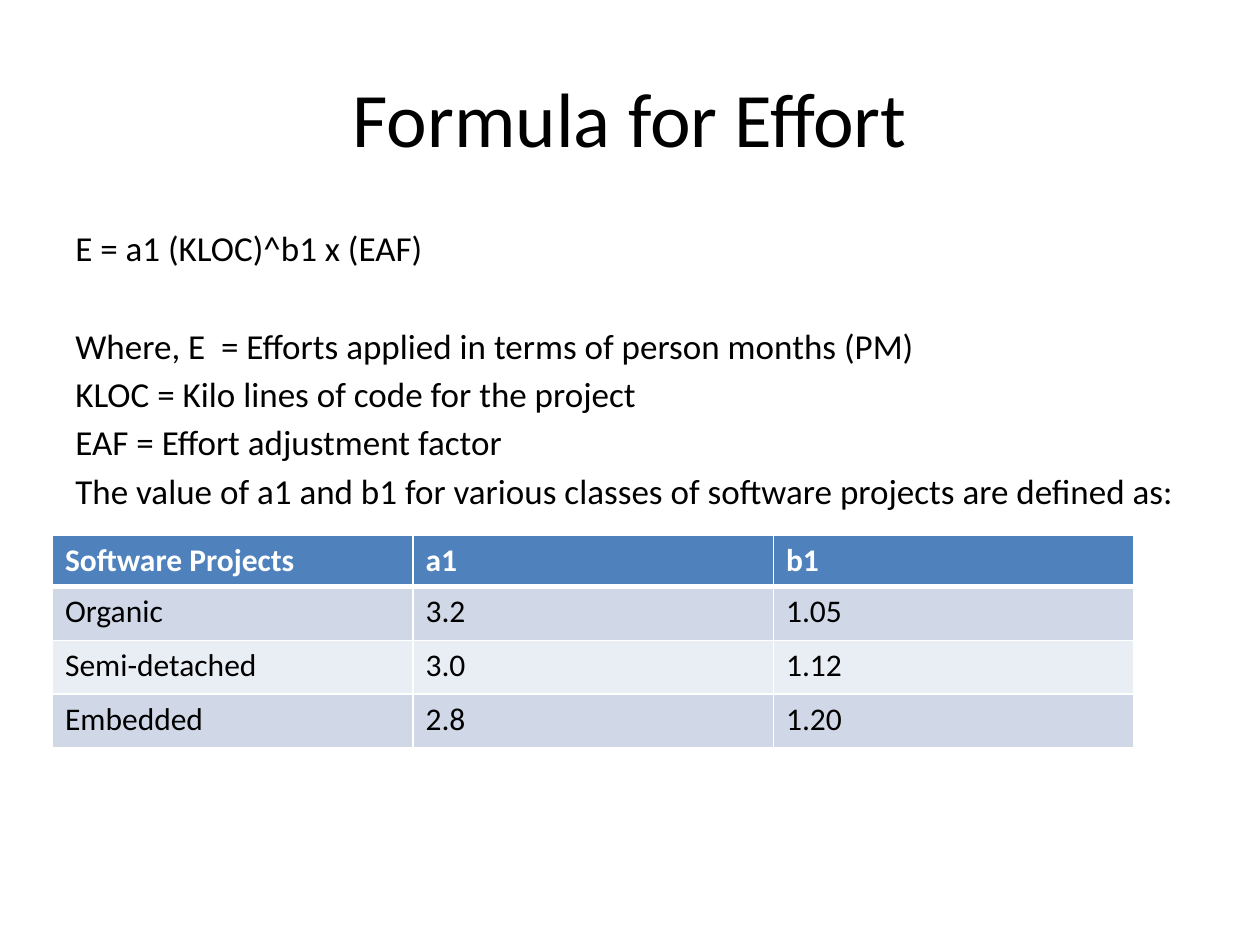
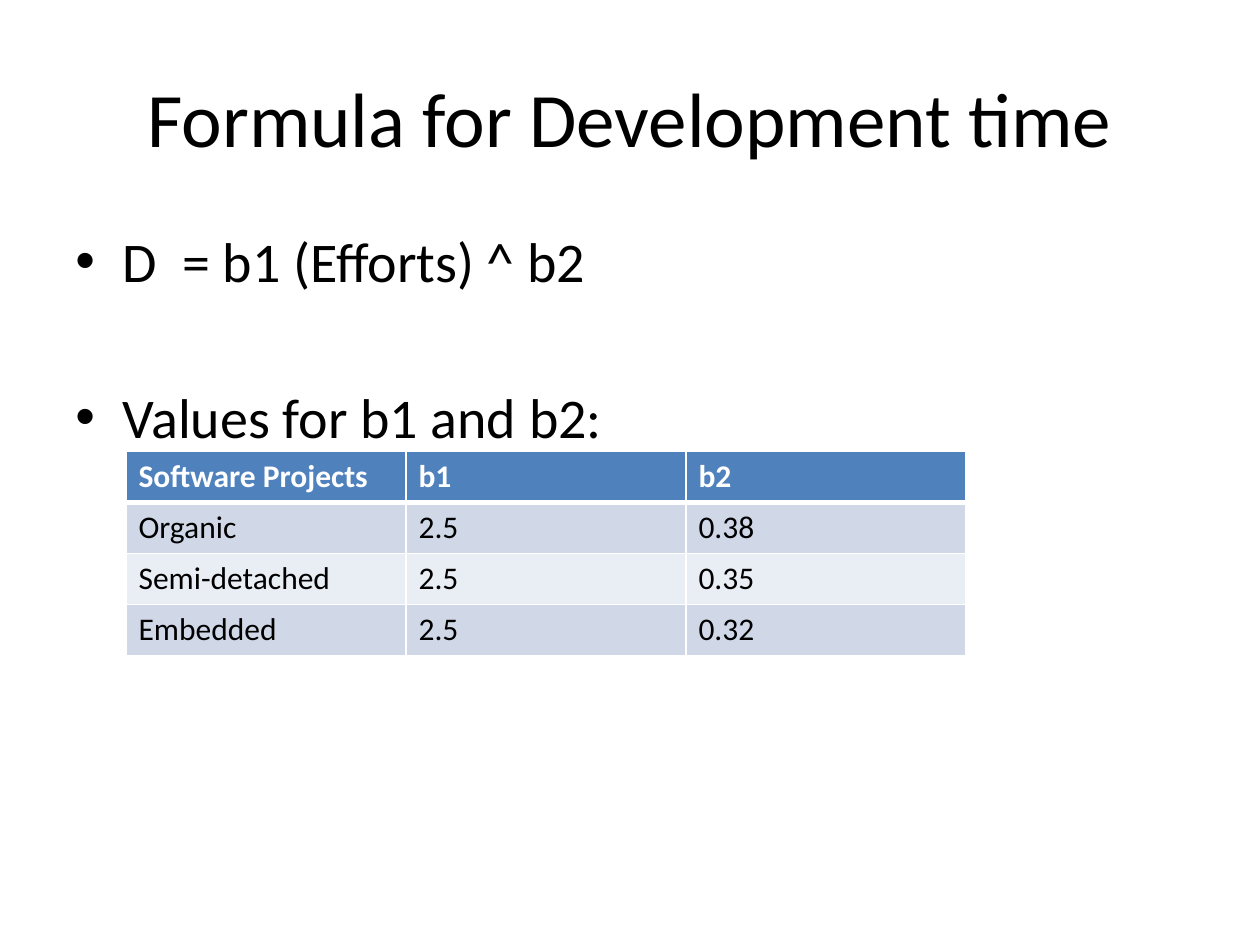
from dataclasses import dataclass

from lxml import etree
from pptx import Presentation
from pptx.dml.color import RGBColor
from pptx.enum.text import MSO_ANCHOR, PP_ALIGN
from pptx.oxml.ns import qn
from pptx.slide import Slide
from pptx.table import _Cell
from pptx.text.text import TextFrame
from pptx.util import Pt

LEFT, CENTER = PP_ALIGN.LEFT, PP_ALIGN.CENTER
TOP, MIDDLE = MSO_ANCHOR.TOP, MSO_ANCHOR.MIDDLE
TITLE_ONLY = 5


@dataclass(frozen=True)
class Theme:
    font: str = "Calibri"
    text: str = "000000"
    white: str = "FFFFFF"
    header: str = "4F81BD"
    bands: tuple[str, str] = ("D0D8E8", "E9EDF4")
    title_size: float = 44
    table_size: float = 18
    line_spacing: float = 1.22
    gap: float = 0.18
    bullet_indent: float = 27
    border: float = 1
    header_border: float = 3


@dataclass(frozen=True)
class Box:
    left: float
    top: float
    width: float
    height: float


@dataclass(frozen=True)
class Line:
    text: str
    skip_before: int = 0


@dataclass(frozen=True)
class Body:
    box: Box
    size: float
    lines: tuple[Line, ...]
    bulleted: bool = False


@dataclass(frozen=True)
class Grid:
    left: float
    top: float
    col_width: float
    header_height: float
    row_height: float
    rows: tuple[tuple[str, ...], ...]


@dataclass(frozen=True)
class FormulaSlide:
    title: str
    body: Body
    grid: Grid


THEME = Theme()
TITLE_BOX = Box(36, 21.6, 648, 90)

SLIDES = (
    FormulaSlide(
        "Formula for Effort",
        Body(
            Box(36, 126, 648, 198),
            20,
            (
                Line("E = a1 (KLOC)^b1 x (EAF)"),
                Line("Where, E  = Efforts applied in terms of person months (PM)", 1),
                Line("KLOC = Kilo lines of code for the project"),
                Line("EAF = Effort adjustment factor"),
                Line("The value of a1 and b1 for various classes of software "
                     "projects are defined as:"),
            ),
        ),
        Grid(30, 306, 206, 29.2, 30.7, (
            ("Software Projects", "a1", "b1"),
            ("Organic", "3.2", "1.05"),
            ("Semi-detached", "3.0", "1.12"),
            ("Embedded", "2.8", "1.20"),
        )),
    ),
    FormulaSlide(
        "Formula for Development time",
        Body(
            Box(36, 126, 648, 356.4),
            32,
            (Line("D  = b1 (Efforts) ^ b2"), Line("Values for b1 and b2:", 1)),
            bulleted=True,
        ),
        Grid(72, 257.8, 160, 29.2, 29.2, (
            ("Software Projects", "b1", "b2"),
            ("Organic", "2.5", "0.38"),
            ("Semi-detached", "2.5", "0.35"),
            ("Embedded", "2.5", "0.32"),
        )),
    ),
)


def add_text(tf: TextFrame, text: str, *, size: float, color: str = THEME.text,
             bold: bool = False, align: PP_ALIGN = LEFT,
             space_before: float = 0, bullet: bool = False) -> None:
    p = tf.paragraphs[-1]
    if p.runs:
        p = tf.add_paragraph()
    p.alignment = align
    p.space_before = Pt(space_before)
    r = p.add_run()
    r.text = text
    r.font.name = THEME.font
    r.font.size = Pt(size)
    r.font.bold = bold
    r.font.color.rgb = RGBColor.from_string(color)
    if bullet:
        pPr = p._p.get_or_add_pPr()
        indent = Pt(THEME.bullet_indent)
        pPr.set("marL", str(indent))
        pPr.set("indent", str(-indent))
        etree.SubElement(pPr, qn("a:buFont")).set("typeface", "Arial")
        etree.SubElement(pPr, qn("a:buChar")).set("char", "•")


def add_title(s: Slide, title: str) -> None:
    sp = s.shapes.title
    sp.left, sp.top = Pt(TITLE_BOX.left), Pt(TITLE_BOX.top)
    sp.width, sp.height = Pt(TITLE_BOX.width), Pt(TITLE_BOX.height)
    sp.text_frame.vertical_anchor = MIDDLE
    add_text(sp.text_frame, title, size=THEME.title_size, align=CENTER)


def add_body(s: Slide, body: Body) -> None:
    box = body.box
    sp = s.shapes.add_textbox(Pt(box.left), Pt(box.top), Pt(box.width), Pt(box.height))
    tf = sp.text_frame
    tf.word_wrap = True
    tf.vertical_anchor = TOP
    gap = body.size * THEME.gap
    pitch = body.size * THEME.line_spacing + gap
    for line in body.lines:
        add_text(tf, line.text, size=body.size, bullet=body.bulleted,
                 space_before=round(gap + line.skip_before * pitch, 1))


def set_borders(cell: _Cell, widths: dict[str, float]) -> None:
    tcPr = cell._tc.get_or_add_tcPr()
    for side, width in widths.items():
        ln = etree.SubElement(tcPr, qn(f"a:ln{side}"), w=str(Pt(width)))
        fill = etree.SubElement(ln, qn("a:solidFill"))
        etree.SubElement(fill, qn("a:srgbClr")).set("val", THEME.white)


def add_grid(s: Slide, grid: Grid) -> None:
    n_rows, n_cols = len(grid.rows), len(grid.rows[0])
    heights = [grid.header_height] + [grid.row_height] * (n_rows - 1)
    table = s.shapes.add_table(n_rows, n_cols, Pt(grid.left), Pt(grid.top),
                               Pt(grid.col_width * n_cols), Pt(sum(heights))).table
    for col in table.columns:
        col.width = Pt(grid.col_width)
    for i, (row, height) in enumerate(zip(grid.rows, heights)):
        table.rows[i].height = Pt(height)
        is_header = i == 0
        fill = THEME.header if is_header else THEME.bands[(i - 1) % 2]
        widths = dict.fromkeys("LRTB", THEME.border)
        if is_header:
            widths["B"] = THEME.header_border
        elif i == 1:
            widths["T"] = THEME.header_border
        for j, text in enumerate(row):
            cell = table.cell(i, j)
            set_borders(cell, widths)
            cell.fill.solid()
            cell.fill.fore_color.rgb = RGBColor.from_string(fill)
            add_text(cell.text_frame, text, size=THEME.table_size, bold=is_header,
                     color=THEME.white if is_header else THEME.text)


def main() -> None:
    prs = Presentation()
    prs.slide_width, prs.slide_height = Pt(720), Pt(540)
    for content in SLIDES:
        s = prs.slides.add_slide(prs.slide_layouts[TITLE_ONLY])
        add_title(s, content.title)
        add_body(s, content.body)
        add_grid(s, content.grid)
    prs.save("out.pptx")


if __name__ == "__main__":
    main()
